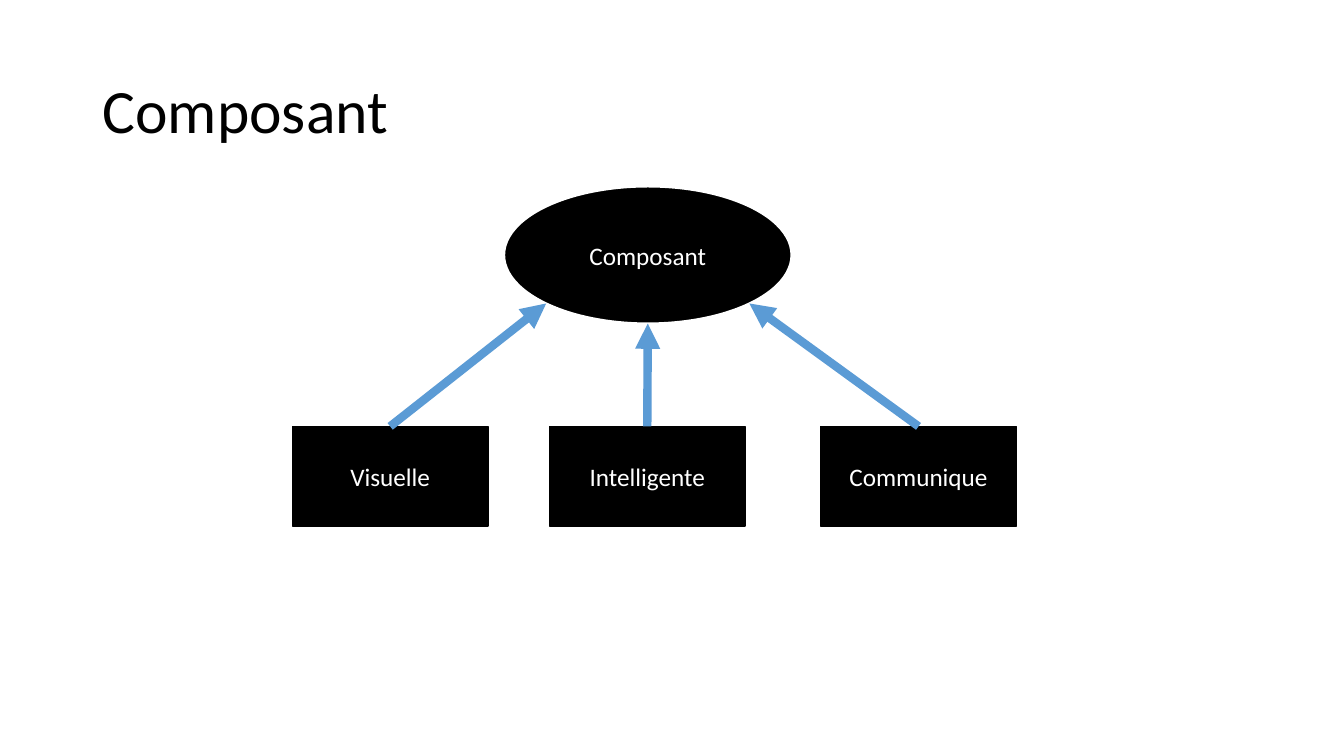
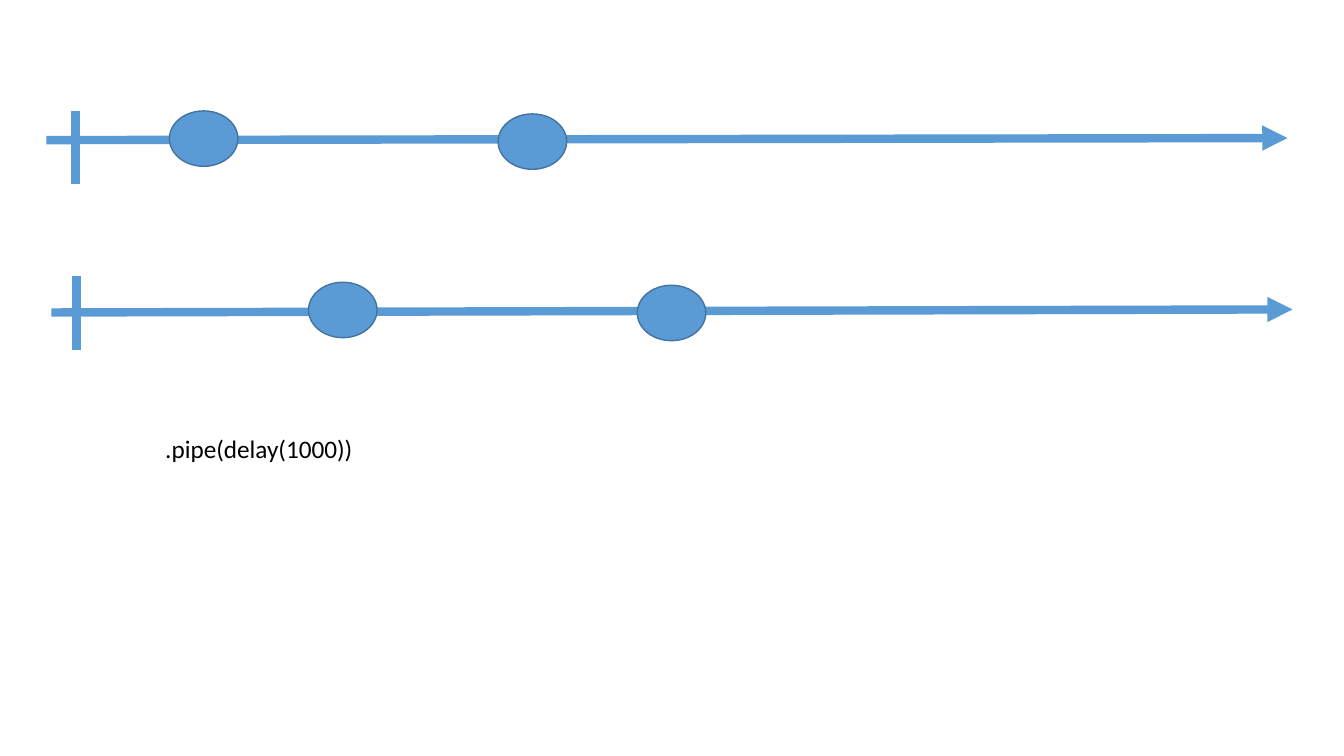
import math
from dataclasses import dataclass

import pptx
import pptx.util
import pptx.dml.color
import pptx.enum.shapes
import pptx.enum.text
import pptx.oxml
import pptx.oxml.ns
from pptx.util import Inches

SHAPES = pptx.enum.shapes.MSO_SHAPE
ANCHOR = pptx.enum.text.MSO_ANCHOR
ALIGN = pptx.enum.text.PP_ALIGN


@dataclass(frozen=True)
class Theme:
    font: str = "Calibri"
    black: str = "000000"
    white: str = "FFFFFF"
    accent: str = "5B9BD5"
    accent_edge: str = "43739E"
    title_size: int = 44
    body_size: int = 18
    thin: float = 1
    medium: float = 1.5
    thick: float = 6


THEME = Theme()


def rgb(value):
    return pptx.dml.color.RGBColor.from_string(value)


# Text
def write(frame, text, size, color, align=ALIGN.LEFT):
    frame.text = text
    paragraph = frame.paragraphs[0]
    paragraph.alignment = align
    font = paragraph.runs[0].font
    font.name = THEME.font
    font.size = pptx.util.Pt(size)
    font.color.rgb = rgb(color)
    return paragraph


def add_title(slide, text):
    title = slide.shapes.add_textbox(Inches(0.92), Inches(0.4), Inches(11.5), Inches(1.45))
    title.text_frame.word_wrap = True
    title.text_frame.vertical_anchor = ANCHOR.MIDDLE
    write(title.text_frame, text, THEME.title_size, THEME.black).line_spacing = 0.9


def add_label(slide, text, left, top, width, height):
    label = slide.shapes.add_textbox(Inches(left), Inches(top), Inches(width), Inches(height))
    label.text_frame.word_wrap = False
    label.text_frame.auto_size = pptx.enum.text.MSO_AUTO_SIZE.SHAPE_TO_FIT_TEXT
    write(label.text_frame, text, THEME.body_size, THEME.black)


# Shapes and lines
def add_node(slide, kind, box, fill, edge, edge_width=THEME.thin, text=None):
    node = slide.shapes.add_shape(kind, *(Inches(length) for length in box))
    node.shadow.inherit = False
    node.fill.solid()
    node.fill.fore_color.rgb = rgb(fill)
    node.line.color.rgb = rgb(edge)
    node.line.width = pptx.util.Pt(edge_width)
    if text:
        node.text_frame.vertical_anchor = ANCHOR.MIDDLE
        write(node.text_frame, text, THEME.body_size, THEME.white, ALIGN.CENTER)


def add_line(slide, start, end, arrow=False):
    line = slide.shapes.add_connector(
        pptx.enum.shapes.MSO_CONNECTOR.STRAIGHT,
        *(Inches(length) for length in (*start, *end)))
    line.line.color.rgb = rgb(THEME.accent)
    line.line.width = pptx.util.Pt(THEME.thick)
    if arrow:
        outline = line.line._get_or_add_ln()
        pptx.oxml.xmlchemy.OxmlElement("a:tailEnd")
        head = pptx.oxml.parse_xml(
            '<a:tailEnd %s type="triangle"/>' % pptx.oxml.ns.nsdecls("a"))
        outline.append(head)
    line._element.spPr.append(
        pptx.oxml.parse_xml("<a:effectLst %s/>" % pptx.oxml.ns.nsdecls("a")))


def add_timeline(slide, start, end, tick, first_event):
    tick_height = 0.73
    event_width, event_height = 0.68, 0.55
    event_step, event_drop = 3.26, 0.03
    add_line(slide, start, end, arrow=True)
    add_line(slide, tick, (tick[0], tick[1] + tick_height))
    left, top = first_event
    for index in range(2):
        box = (left + index * event_step, top + index * event_drop,
               event_width, event_height)
        add_node(slide, SHAPES.OVAL, box, THEME.accent, THEME.accent_edge)


# Slides
def build_component_slide(slide):
    add_title(slide, "Composant")

    # Central component
    left, top, width, height = component = (5, 1.85, 2.85, 1.36)
    center_x, center_y = left + width / 2, top + height / 2
    add_node(slide, SHAPES.OVAL, component, THEME.black, THEME.white,
             THEME.medium, "Composant")

    # Traits, each pointing to the lower rim of the component
    trait_top, trait_width, trait_height = 4.23, 1.94, 0.99
    traits = (("Visuelle", 2.9, 135), ("Intelligente", 5.45, 90), ("Communique", 8.14, 45))
    for text, trait_left, degrees in traits:
        add_node(slide, SHAPES.RECTANGLE, (trait_left, trait_top, trait_width, trait_height),
                 THEME.black, THEME.black, text=text)
        angle = math.radians(degrees)
        rim = (center_x + width / 2 * math.cos(angle),
               center_y + height / 2 * math.sin(angle))
        add_line(slide, (trait_left + trait_width / 2, trait_top), rim, arrow=True)


def build_delay_slide(slide):
    # Source stream, then the delayed stream
    add_timeline(slide, (0.46, 1.39), (12.77, 1.37), tick=(0.75, 1.1), first_event=(1.68, 1.1))
    add_timeline(slide, (0.51, 3.1), (12.82, 3.07), tick=(0.76, 2.74), first_event=(3.06, 2.8))
    add_label(slide, ".pipe(delay(1000))", 1.54, 4.25, 2.08, 0.4)


def main():
    deck = pptx.Presentation()
    deck.slide_width = Inches(13.33)
    deck.slide_height = Inches(7.5)
    blank = deck.slide_layouts[6]
    for build in (build_component_slide, build_delay_slide):
        build(deck.slides.add_slide(blank))
    deck.save("out.pptx")


main()
